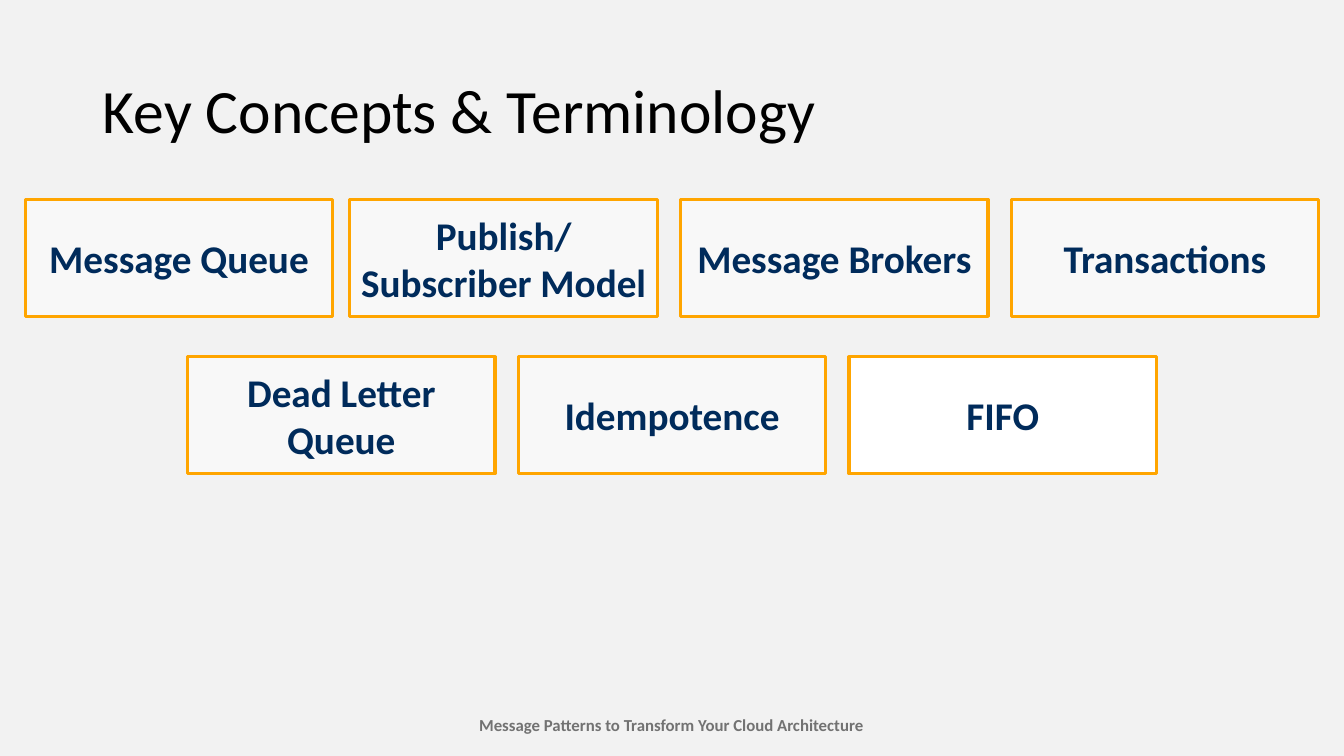
from lxml import etree
from pptx import Presentation
from pptx.dml.color import RGBColor
from pptx.enum.shapes import MSO_SHAPE as Shape
from pptx.enum.text import MSO_ANCHOR as Anchor, PP_ALIGN as Align
from pptx.oxml.ns import qn
from pptx.util import Inches, Pt

FONT = "Calibri"
NAVY, ORANGE, WHITE = "002B5B", "FFA500", "FFFFFF"
BOX_WIDTH, BOX_HEIGHT, PITCH = 3.05, 1.16, 3.28

# Each row: left of its first box, top, and (term, opacity in percent)
TERM_ROWS = [
    (0.25, 1.98, [("Message Queue", 50)]),
    (3.47, 1.98, [("Publish/ Subscriber Model", 50), ("Message Brokers", 50),
                  ("Transactions", 50)]),
    (1.86, 3.54, [("Dead Letter Queue", 50), ("Idempotence", 50), ("FIFO", 100)]),
]


def color(hex_text):
    return RGBColor.from_string(hex_text)


def write(shape, text, size, hex_text, bold=False, align=Align.CENTER):
    frame = shape.text_frame
    frame.text = text
    para = frame.paragraphs[0]
    para.alignment = align
    font = para.runs[0].font
    font.name, font.size, font.bold = FONT, Pt(size), bold
    font.color.rgb = color(hex_text)
    return frame


def place(shape, left, top, width, height):
    shape.left, shape.top = Inches(left), Inches(top)
    shape.width, shape.height = Inches(width), Inches(height)


def add_title(slide, left, top, width, height):
    title = slide.shapes.title
    place(title, left, top, width, height)
    frame = write(title, "Key Concepts & Terminology", 44, "000000", align=Align.LEFT)
    frame.vertical_anchor = Anchor.MIDDLE
    frame.paragraphs[0].line_spacing = 0.9


def add_term_box(slide, left, top, term, opacity):
    box = slide.shapes.add_shape(Shape.RECTANGLE, Inches(left), Inches(top),
                                 Inches(BOX_WIDTH), Inches(BOX_HEIGHT))
    box.shadow.inherit = False
    box.fill.solid()
    box.fill.fore_color.rgb = color(WHITE)
    if opacity < 100:
        fill_color = box.fill._xPr.find(f"{qn('a:solidFill')}/{qn('a:srgbClr')}")
        etree.SubElement(fill_color, qn("a:alpha")).set("val", str(opacity * 1000))
    box.line.color.rgb = color(ORANGE)
    box.line.width = Pt(2.25)
    frame = write(box, term, 28, NAVY, bold=True)
    frame.word_wrap = True
    frame.vertical_anchor = Anchor.MIDDLE


def add_term_row(slide, left, top, terms):
    for column, (term, opacity) in enumerate(terms):
        add_term_box(slide, left + column * PITCH, top, term, opacity)


def add_footer(slide, left, top, width, height):
    footer = slide.shapes.add_textbox(Inches(left), Inches(top),
                                      Inches(width), Inches(height))
    frame = write(footer, "Message Patterns to Transform Your Cloud Architecture",
                  12, "727272", bold=True)
    frame.word_wrap = False


def main():
    deck = Presentation()
    deck.slide_width, deck.slide_height = Inches(13.33), Inches(7.5)
    slide = deck.slides.add_slide(deck.slide_layouts[5])  # title only
    slide.background.fill.solid()
    slide.background.fill.fore_color.rgb = color("F2F2F2")

    add_footer(slide, 4.63, 7.04, 4.06, 0.3)
    add_title(slide, 0.92, 0.4, 11.5, 1.45)
    for left, top, terms in TERM_ROWS:
        add_term_row(slide, left, top, terms)

    deck.save("out.pptx")


if __name__ == "__main__":
    main()
